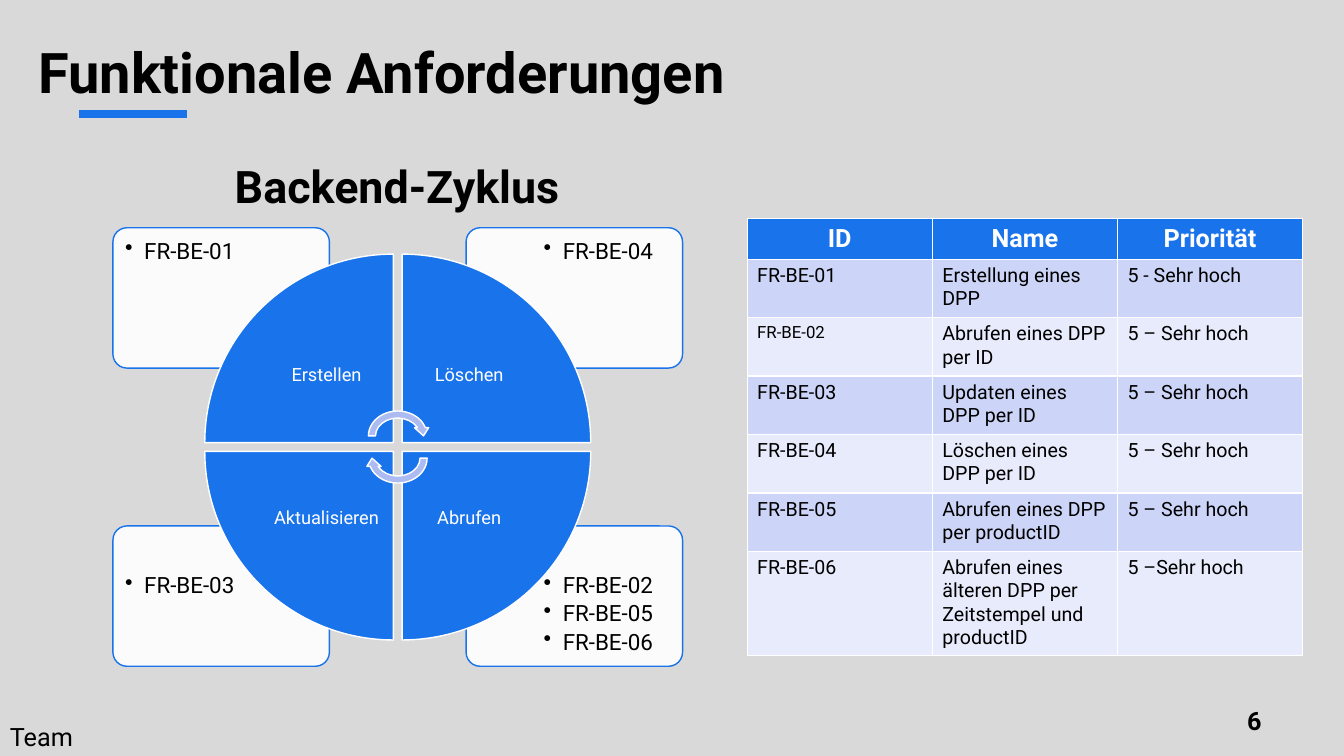
from lxml.etree import SubElement as Sub
from pptx import Presentation
from pptx.dml.color import RGBColor as Rgb
from pptx.enum.shapes import MSO_CONNECTOR as Line, MSO_SHAPE as Kind
from pptx.enum.text import MSO_ANCHOR as Anchor, PP_ALIGN as Align
from pptx.oxml.ns import qn
from pptx.util import Inches, Pt

WIDE, HIGH = 13.33, 7.5
HUES = dict(back="D9D9D9", blue="1973EB", pale="ACBCF3", white="FFFFFF",
            black="000000", odd="CCD5F7", even="E8EBFB")

# label, requirements, column, row, turn of the wedge
PARTS = [
    ("Erstellen", ["FR-BE-01"], 0, 0, 0),
    ("Löschen", ["FR-BE-04"], 1, 0, 90),
    ("Abrufen", ["FR-BE-02", "FR-BE-05", "FR-BE-06"], 1, 1, 180),
    ("Aktualisieren", ["FR-BE-03"], 0, 1, 270),
]
HEAD = ("ID", "Name", "Priorität")
ROWS = [
    ("FR-BE-01", "Erstellung eines DPP", "5 - Sehr hoch"),
    ("FR-BE-02", "Abrufen eines DPP per ID", "5 – Sehr hoch"),
    ("FR-BE-03", "Updaten eines DPP per ID", "5 – Sehr hoch"),
    ("FR-BE-04", "Löschen eines DPP per ID", "5 – Sehr hoch"),
    ("FR-BE-05", "Abrufen eines DPP per productID", "5 – Sehr hoch"),
    ("FR-BE-06", "Abrufen eines älteren DPP per Zeitstempel und productID",
     "5 –Sehr hoch"),
]


def hue(name):
    return Rgb.from_string(HUES[name])


def inch(box):
    return [Inches(part) for part in box]


def paint(item, name):
    item.fill.solid()
    item.fill.fore_color.rgb = hue(name)


def style(par, size, color="black", bold=False, **form):
    for key, val in form.items():
        setattr(par, key, val)
    look = dict(name="Roboto", size=Pt(size), bold=bold)
    for key, val in look.items():
        setattr(par.font, key, val)
    par.font.color.rgb = hue(color)


def bullet(par, dent):
    prop = par._p.get_or_add_pPr()
    prop.set("marL", str(Inches(dent)))
    prop.set("indent", str(-Inches(dent)))
    Sub(prop, qn("a:buChar")).set("char", "•")


def write(slide, box, lines, size, mark=False, inset=0.1, rim=0.05,
          anchor=Anchor.TOP, wrap=True, **form):
    frame = slide.shapes.add_textbox(*inch(box)).text_frame
    look = dict(margin_left=Inches(inset), margin_right=Inches(inset),
                margin_top=Inches(rim), margin_bottom=Inches(rim),
                vertical_anchor=anchor, word_wrap=wrap)
    for key, val in look.items():
        setattr(frame, key, val)
    frame.text = "\n".join(lines)
    for par in frame.paragraphs:
        if mark:
            bullet(par, 0.19)
        style(par, size, **form)
    return frame


def draw(slide, kind, box, fill, edge, turn=0):
    shape = slide.shapes.add_shape(kind, *inch(box))
    shape.shadow.inherit = False
    shape.rotation = turn
    paint(shape, fill)
    shape.line.color.rgb = hue(edge)
    shape.line.width = Pt(1)
    return shape


def header(slide, box):
    left, top, wide, high = box
    title = slide.shapes.title
    for key, val in zip(("left", "top", "width", "height"), inch(box)):
        setattr(title, key, val)
    title.text_frame.text = "Funktionale Anforderungen"
    title.text_frame.vertical_anchor = Anchor.TOP
    style(title.text_frame.paragraphs[0], 40, bold=True, alignment=Align.LEFT)
    start, level = left + 0.5, top + 0.81
    rule = slide.shapes.add_connector(
        Line.STRAIGHT, *inch((start, level, start + 0.09 * wide, level)))
    rule.line.color.rgb = hue("blue")
    rule.line.width = Pt(6)
    Sub(rule._element.spPr, qn("a:effectLst"))


def card(slide, box, items, col, row):
    left, top, wide, high = box
    shape = draw(slide, Kind.ROUNDED_RECTANGLE, box, "white", "blue")
    shape.adjustments[0] = 0.1
    tint = shape._element.spPr.find(qn("a:solidFill"))[0]
    Sub(tint, qn("a:alpha")).set("val", "90000")
    pad, span, tall = 0.03, 0.67 * wide, 0.7 * high
    spot = (left + pad + col * (wide - span - 2 * pad),
            top + pad + row * (high - tall - 2 * pad), span, tall)
    write(slide, spot, items, 16, mark=True, inset=0.09, rim=0.09,
          line_spacing=0.9, space_after=Pt(3))


def wheel(slide, box):
    left, top, wide, high = box
    midx, midy = left + wide / 2, top + high / 2
    gap, wedge = 0.01 * high, 0.43 * high
    label = 0.71 * wedge

    def inner(side, col, row):
        """Square that touches the centre gap in the given quarter."""
        return (midx + (gap if col else -gap - side),
                midy + (gap if row else -gap - side), side, side)

    cw, ch = 0.38 * wide, 0.32 * high
    for name, items, col, row, turn in reversed(PARTS):
        spot = (left + col * (wide - cw), top + row * (high - ch), cw, ch)
        card(slide, spot, items, col, row)
    for name, items, col, row, turn in PARTS:
        # the preset wedge has its square corner at the lower right
        draw(slide, Kind.PIE_WEDGE, inner(wedge, col, row), "blue", "white", turn)
        write(slide, inner(label, col, row), [name], 13, rim=0.1,
              anchor=Anchor.MIDDLE, color="white", alignment=Align.CENTER,
              line_spacing=0.9)
    aw, ah = 0.15 * high, 0.13 * high
    for side, turn in ((-1, 0), (1, 180)):
        spot = (midx - aw / 2, midy + side * 0.11 - ah / 2, aw, ah)
        draw(slide, Kind.CIRCULAR_ARROW, spot, "pale", "white", turn)


def needs(slide, box):
    high = box[3]
    grid = slide.shapes.add_table(len(ROWS) + 1, len(HEAD), *inch(box)).table
    rest = [0.58] * 5
    sizes = [0.38, *rest, high - 0.38 - sum(rest)]
    for line, size in zip(grid.rows, sizes):
        line.height = Inches(size)
    for r, texts in enumerate([HEAD, *ROWS]):
        for c, text in enumerate(texts):
            cell = grid.cell(r, c)
            cell.text = text
            par = cell.text_frame.paragraphs[0]
            if r == 0:
                paint(cell, "blue")
                style(par, 18, "white", True, alignment=Align.CENTER)
            else:
                paint(cell, "odd" if r % 2 else "even")
                style(par, 12 if text == "FR-BE-02" else 14)


def footer(slide, box):
    left, top, wide, high = box
    write(slide, (left, top + 0.16, 0.98, high), ["Team"], 18, wrap=False)
    page = write(slide, (left + wide - 1.51, top, 0.79, high), ["6"], 18,
                 anchor=Anchor.MIDDLE, bold=True, alignment=Align.RIGHT)
    run = page.paragraphs[0].runs[0]
    run._r.get_or_add_rPr().set("spc", "300")


def main():
    deck = Presentation()
    deck.slide_width, deck.slide_height = inch((WIDE, HIGH))
    slide = deck.slides.add_slide(deck.slide_layouts[5])
    paint(slide.background, "back")
    header(slide, (0.28, 0.32, 11.91, 1.2))
    wheel(slide, (1.12, 2.26, 5.65, 4.35))
    write(slide, (1.31, 1.53, 5.26, 0.64), ["Backend-Zyklus"], 32,
          bold=True, alignment=Align.CENTER)
    needs(slide, (7.41, 2.17, 5.51, 4.26))
    footer(slide, (0, 6.95, WIDE, 0.4))
    deck.save("out.pptx")


if __name__ == "__main__":
    main()
